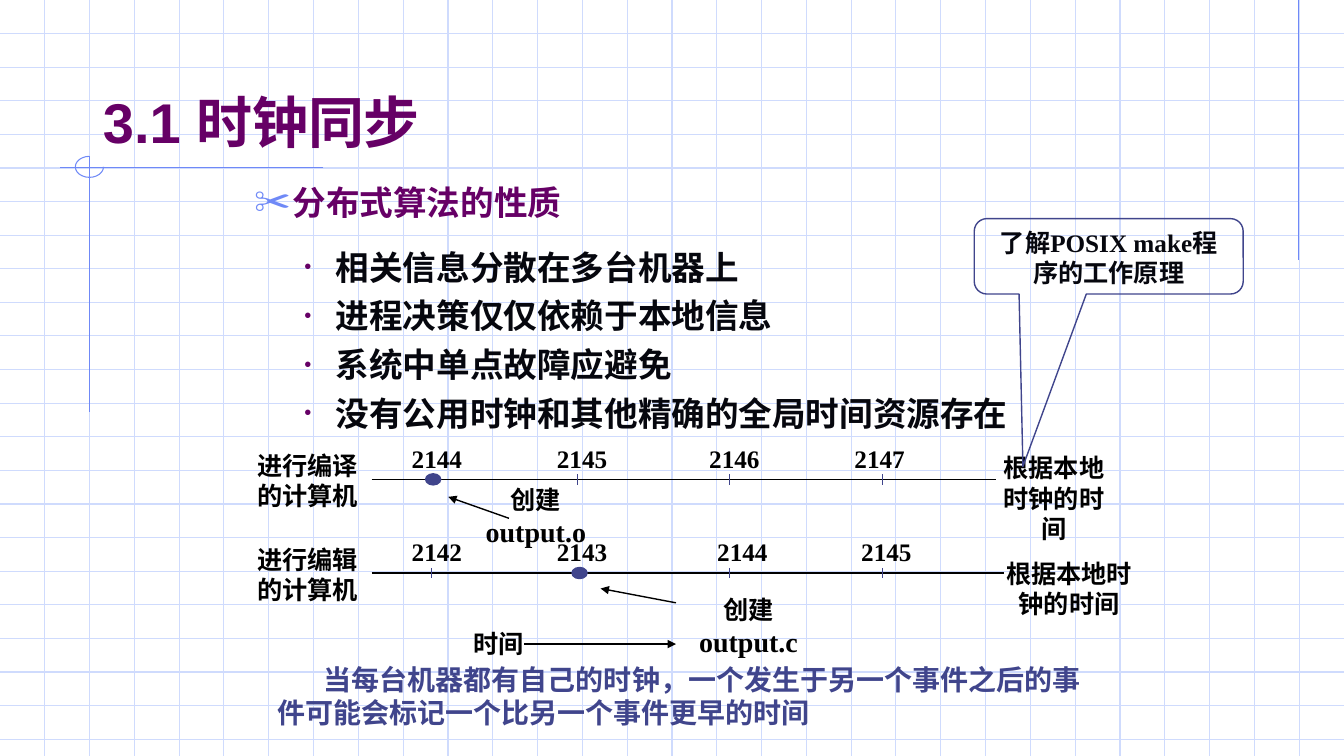
from dataclasses import dataclass

from lxml import etree
from pptx import Presentation
from pptx.dml.color import RGBColor
from pptx.enum.shapes import MSO_CONNECTOR, MSO_SHAPE
from pptx.enum.text import MSO_ANCHOR, MSO_AUTO_SIZE, PP_ALIGN
from pptx.oxml.ns import qn
from pptx.util import Cm, Pt

STRAIGHT = MSO_CONNECTOR.STRAIGHT
ARC, OVAL = MSO_SHAPE.ARC, MSO_SHAPE.OVAL
BUBBLE = MSO_SHAPE.ROUNDED_RECTANGULAR_CALLOUT
TOP, BOTTOM = MSO_ANCHOR.TOP, MSO_ANCHOR.BOTTOM
LEFT, CENTER = PP_ALIGN.LEFT, PP_ALIGN.CENTER
NO_FIT = MSO_AUTO_SIZE.NONE


@dataclass(frozen=True)
class Theme:
    grid: str = "CFDBFD"
    trim: str = "6F89F7"
    plum: str = "660066"
    navy: str = "40458C"
    ink: str = "06070E"
    black: str = "000000"
    head: str = "Arial"
    main: str = "Cabin"
    note: str = "Times New Roman"
    cjk: str = "Noto Sans CJK SC"
    title: int = 40
    body: int = 24
    large: int = 20
    small: int = 18
    hair: float = 0.75
    rule: float = 1


THEME = Theme()
WIDTH, HEIGHT = 33.88, 19.05


def rgb(color):
    return RGBColor.from_string(color)


def style(run, size, face, color, east=THEME.main):
    font = run.font
    font.size, font.bold, font.name = Pt(size), True, face
    font.color.rgb = rgb(color)
    etree.SubElement(font._element, qn("a:ea")).set("typeface", east)


def place(shape, box):
    shape.left, shape.top, shape.width, shape.height = map(Cm, box)


def line(slide, start, end, color, width, arrow=False):
    rule = slide.shapes.add_connector(STRAIGHT, *map(Cm, start + end))
    rule.line.color.rgb = rgb(color)
    rule.line.width = Pt(width)
    if arrow:
        etree.SubElement(rule.line._get_or_add_ln(), qn("a:tailEnd")).set("type", "triangle")
    etree.SubElement(rule._element.spPr, qn("a:effectLst"))


def form(slide, kind, box, color, width, fill=None):
    shape = slide.shapes.add_shape(kind, *map(Cm, box))
    shape.shadow.inherit = False
    shape.line.color.rgb = rgb(color)
    shape.line.width = Pt(width)
    if fill:
        shape.fill.solid()
        shape.fill.fore_color.rgb = rgb(fill)
    else:
        shape.fill.background()
    return shape


def text(slide, box, words, align=CENTER):
    frame = slide.shapes.add_textbox(*map(Cm, box)).text_frame
    frame.word_wrap = True
    frame.text = words
    para = frame.paragraphs[0]
    para.alignment = align
    return para


def label(slide, box, words, align=CENTER):
    para = text(slide, box, words, align)
    style(para.runs[0], THEME.small, THEME.note, THEME.black)
    return para


def indent(para, margin, first):
    props = para._p.get_or_add_pPr()
    props.set("marL", str(Cm(margin)))
    props.set("indent", str(Cm(first)))


def bullet(para, mark, color, scale):
    props = para._p.get_or_add_pPr()
    tint = etree.SubElement(props, qn("a:buClr"))
    etree.SubElement(tint, qn("a:srgbClr")).set("val", color)
    etree.SubElement(props, qn("a:buSzPct")).set("val", str(scale * 1000))
    etree.SubElement(props, qn("a:buFont")).set("typeface", THEME.head)
    etree.SubElement(props, qn("a:buChar")).set("char", mark)


def backdrop(slide, box):
    x, y, w, h = box
    for i in range(1, 23):
        row = y + h * i / 22.5
        line(slide, (x, row), (x + w, row), THEME.grid, THEME.hair)
    for i in range(1, 30):
        col = x + w * i / 30
        line(slide, (col, y), (col, y + h), THEME.grid, THEME.hair)
    for start, end in [((32.74, 0), (32.74, 6.55)), ((8.15, 4.22), (1.52, 4.22)),
                       ((2.26, 3.94), (2.26, 10.39))]:
        line(slide, (x + start[0], y + start[1]), (x + end[0], y + end[1]),
             THEME.trim, THEME.hair)
    arc = form(slide, ARC, (x + 1.9, y + 3.94, 0.71, 0.53), THEME.trim, THEME.hair)
    arc.adjustments[0], arc.adjustments[1] = 0, 162


def heading(slide, box):
    title = slide.shapes.title
    slide.shapes.element.append(title.element)
    place(title, box)
    frame = title.text_frame
    frame.auto_size = NO_FIT
    frame.vertical_anchor = BOTTOM
    frame.text = "3.1 "
    para = frame.paragraphs[0]
    para.alignment = LEFT
    style(para.runs[0], THEME.title, THEME.head, THEME.plum)
    name = para.add_run()
    name.text = "时钟同步"
    style(name, THEME.title, THEME.main, THEME.plum)


def outline(slide, box):
    body = slide.placeholders[1]
    slide.shapes.element.append(body.element)
    place(body, box)
    frame = body.text_frame
    frame.auto_size = NO_FIT
    frame.vertical_anchor = TOP
    frame.text = "\n".join(["分布式算法的性质", "相关信息分散在多台机器上", "进程决策仅仅依赖于本地信息",
                            "系统中单点故障应避免", "没有公用时钟和其他精确的全局时间资源存在"])
    for i, para in enumerate(frame.paragraphs):
        if i:
            para.level = 1
            indent(para, 2.06, -0.79)
            bullet(para, "•", THEME.plum, 60)
        else:
            indent(para, 0.97, -0.97)
            bullet(para, "✂", THEME.trim, 110)
        para.space_before = Pt((0, 17.5, 6, 6, 6)[i])
        style(para.runs[0], THEME.body, THEME.main, THEME.ink if i else THEME.plum)


def clock(slide, box, host, times, dot, note):
    x, y, w, h = box
    axis = y + h / 2
    line(slide, (x + 3.45, axis), (x + w, axis), THEME.black, THEME.rule)
    for i, mark in enumerate((4.95, 8.64, 12.47, 16.33)):
        if i == dot:
            form(slide, OVAL, (x + mark - 0.14, axis - 0.14, 0.38, 0.28),
                 THEME.navy, THEME.rule, THEME.navy)
        else:
            line(slide, (x + mark, axis - 0.13), (x + mark, axis + 0.13),
                 THEME.navy, THEME.rule)
    for left, time in times:
        label(slide, (x + left, y, 1.93, 1.02), time, LEFT)
    label(slide, (x, y + 0.18, 3.66, 1.78), host)
    drop, width, height = note
    label(slide, (x + w - 0.38, y + drop, width, height), "根据本地时钟的时间")


def event(slide, box, name, start, end):
    x, y = box[:2]
    para = label(slide, box, "创建")
    run = para.add_run()
    run.text = name
    style(run, THEME.large, THEME.note, THEME.black)
    line(slide, (x + start[0], y + start[1]), (x + end[0], y + end[1]),
         THEME.black, THEME.rule, True)


def flow(slide, box):
    x, y, w, h = box
    label(slide, (x, y, 1.93, h), "时间", LEFT)
    line(slide, (x + 1.53, y + h / 2), (x + w, y + h / 2), THEME.black, THEME.rule, True)


def summary(slide, box):
    para = text(slide, box, "当每台机器都有自己的时钟，一个发生于另一个事件之后的事件可能会标记一个比另一个事件更早的时间", LEFT)
    indent(para, 0.97, 1.17)
    para.line_spacing = Pt(24)
    style(para.runs[0], THEME.large, THEME.cjk, THEME.navy, THEME.cjk)


def callout(slide, box):
    shape = form(slide, BUBBLE, box, THEME.navy, THEME.rule)
    for i, value in enumerate((-0.319, 2.787, 0.167)):
        shape.adjustments[i] = value
    frame = shape.text_frame
    frame.word_wrap = True
    frame.vertical_anchor = TOP
    frame.text = "了解POSIX make程序的工作原理"
    para = frame.paragraphs[0]
    para.alignment = CENTER
    style(para.runs[0], THEME.small, THEME.note, THEME.ink)


def main():
    deck = Presentation()
    deck.slide_width, deck.slide_height = Cm(WIDTH), Cm(HEIGHT)
    slide = deck.slides.add_slide(deck.slide_layouts[1])
    backdrop(slide, (0, 0, WIDTH, HEIGHT))
    heading(slide, (2.34, 0.84, 28.78, 3.18))
    outline(slide, (6.15, 4.45, 22.43, 11.86))
    clock(slide, (5.92, 11.04, 19.2, 2.08), "进行编译的计算机",
          [(4.21, "2144"), (7.87, "2145"), (11.71, "2146"), (15.37, "2147")],
          0, (0.24, 3.66, 2.54))
    clock(slide, (5.92, 13.4, 19.38, 2.08), "进行编辑的计算机",
          [(4.21, "2142"), (7.87, "2143"), (11.91, "2144"), (15.54, "2145")],
          1, (0.54, 4.06, 1.78))
    event(slide, (11.68, 12.09, 3.66, 1.88), "output.o", (1.15, 0.97), (-0.38, 0.43))
    event(slide, (17.04, 14.86, 3.66, 1.88), "output.c", (0, 0.33), (-1.9, -0.03))
    flow(slide, (11.68, 15.72, 5.36, 1.02))
    summary(slide, (5.77, 16.56, 22.23, 1.96))
    callout(slide, (24.56, 5.51, 6.78, 1.9))
    deck.save("out.pptx")


if __name__ == "__main__":
    main()
